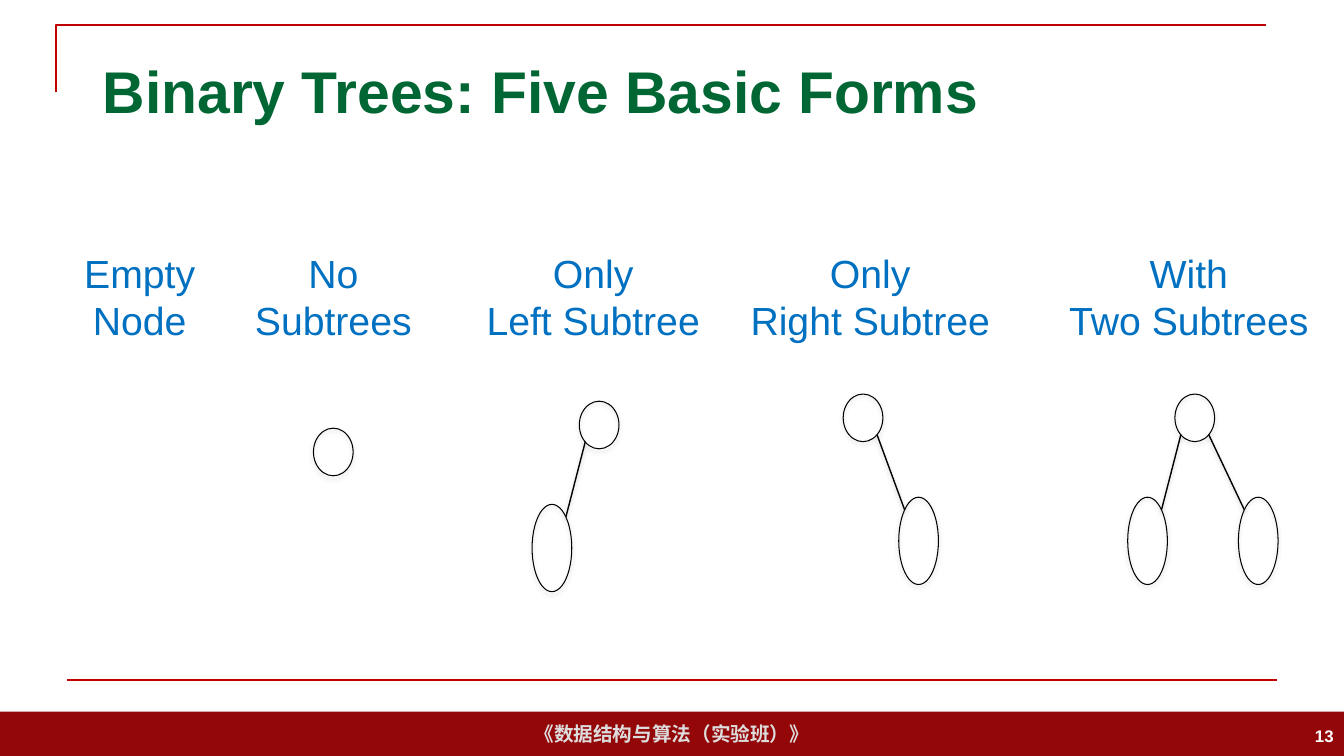
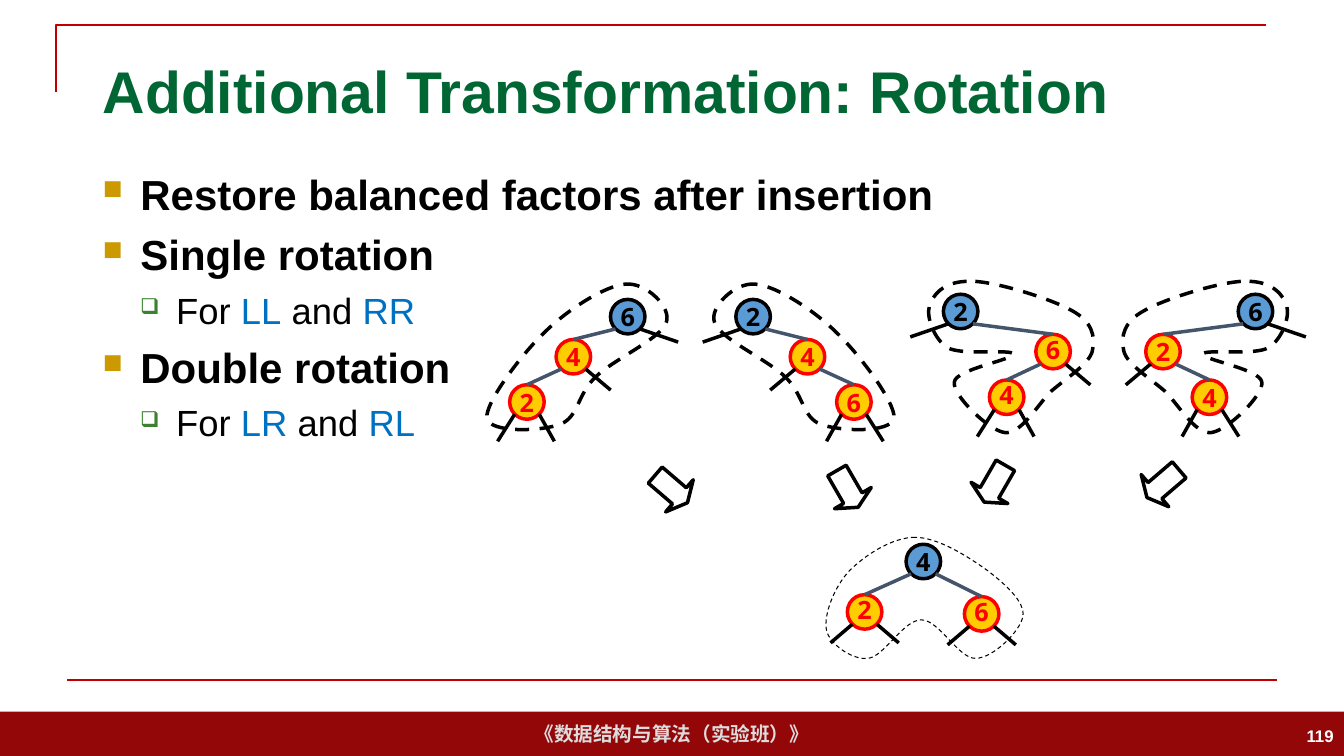
from dataclasses import dataclass
from math import copysign

from lxml import etree
from pptx import Presentation
from pptx.dml.color import RGBColor
from pptx.enum.dml import MSO_LINE
from pptx.enum.shapes import MSO_CONNECTOR, MSO_SHAPE
from pptx.enum.text import MSO_ANCHOR, PP_ALIGN
from pptx.oxml.ns import qn
from pptx.util import Cm, Pt

RECT, OVAL, ARROW = MSO_SHAPE.RECTANGLE, MSO_SHAPE.OVAL, MSO_SHAPE.DOWN_ARROW
STRAIGHT, DASH = MSO_CONNECTOR.STRAIGHT, MSO_LINE.DASH
LEFT, MID, RIGHT = PP_ALIGN.LEFT, PP_ALIGN.CENTER, PP_ALIGN.RIGHT
TOP, CENTER = MSO_ANCHOR.TOP, MSO_ANCHOR.MIDDLE
SANS, OPEN = "Arial", "Open Sans"
HEX = {
    "band": "940709", "rule": "C00000", "title": "006633", "foot": "DDDDDD",
    "white": "FFFFFF", "black": "000000", "blue": "0070C0", "root": "5B9BD5",
    "leaf": "FFCC00", "red": "FF0000", "slate": "44546A", "shade": "808080",
    "gold": "CC9900", "green": "3B812F",
}
WIDE, HIGH = 33.87, 19.05
BALL, REACH = 0.87, 0.31


@dataclass(frozen=True)
class Form:
    label: str
    mid: float
    root: tuple = ()
    kids: tuple = ()


@dataclass(frozen=True)
class Level:
    size: int
    bold: bool
    left: float
    hang: float
    mark: str
    tint: str
    scale: int


@dataclass(frozen=True)
class Node:
    x: float
    y: float
    kids: tuple = ()
    stubs: tuple = ()


@dataclass(frozen=True)
class Tree:
    nodes: tuple
    hull: tuple


FORMS = (
    Form("Empty\nNode", 3.52),
    Form("No\nSubtrees", 8.4, (8.4, 11.39)),
    Form("Only\nLeft Subtree", 14.95, (15.1, 10.71), (-1.19,)),
    Form("Only\nRight Subtree", 21.93, (21.75, 10.53), (1.4,)),
    Form("With\nTwo Subtrees", 29.96, (30.11, 10.53), (-1.19, 1.6)),
)
LEVELS = (
    Level(30, True, 0.95, 0.95, "■", "gold", 65),
    Level(26, False, 1.85, 0.91, "❑", "green", 60),
)
POINTS = (
    (0, (("Restore balanced factors after insertion", "black"),)),
    (0, (("Single rotation", "black"),)),
    (1, (("For ", "black"), ("LL", "blue"), (" and ", "black"), ("RR", "blue"))),
    (0, (("Double rotation", "black"),)),
    (1, (("For ", "black"), ("LR", "blue"), (" and ", "black"), ("RL", "blue"))),
)
FEET = ((-0.43, 0.68), (0.38, 0.68))
LEGS = ((-0.55, 0.47), (0.55, 0.47))
LINE = Tree(
    (Node(15.82, 7.98, (1,), ((0.96, 0.33),)),
     Node(14.45, 8.99, (2,), ((0.63, 0.53),)),
     Node(13.28, 10.13, (), FEET)),
    ((15.77, 7.16),
     (16.28, 7.11), (16.94, 7.75), (16.79, 8.13),
     (16.66, 8.53), (15.44, 9.07), (15.01, 9.5),
     (14.55, 9.93), (14.58, 10.52), (14.12, 10.69),
     (13.67, 10.87), (12.34, 10.92), (12.27, 10.54),
     (12.22, 10.16), (13.13, 8.94), (13.72, 8.38),
     (14.3, 7.8), (15.27, 7.19), (15.77, 7.16)))
BEND = Tree(
    (Node(24.21, 7.85, (1,), ((-0.96, 0.33),)),
     Node(26.54, 8.86, (2,), ((0.63, 0.53),)),
     Node(25.37, 10.01, (), FEET)),
    ((24.36, 7.09),
     (23.77, 7.11), (23.5, 7.44), (23.42, 7.72),
     (23.34, 8), (23.55, 8.56), (23.88, 8.76),
     (24.23, 8.97), (25.5, 8.79), (25.53, 8.92),
     (25.55, 9.07), (24.08, 9.3), (24.05, 9.63),
     (24, 9.96), (24.92, 10.85), (25.32, 10.9),
     (25.73, 10.95), (26.14, 10.21), (26.49, 9.86),
     (26.87, 9.53), (27.46, 9.17), (27.53, 8.84),
     (27.61, 8.48), (27.53, 8.1), (27, 7.82),
     (26.47, 7.52), (24.94, 7.04), (24.36, 7.09)))
EVEN = Tree(
    (Node(23.27, 14.15, (1, 2)),
     Node(21.79, 15.42, (), LEGS),
     Node(24.74, 15.47, (), LEGS)),
    ((23.06, 13.54),
     (22.48, 13.54), (21.79, 14), (21.41, 14.38),
     (21.03, 14.78), (20.75, 15.49), (20.83, 15.88),
     (20.9, 16.23), (21.49, 16.64), (21.87, 16.59),
     (22.28, 16.56), (22.76, 15.62), (23.22, 15.62),
     (23.67, 15.62), (24.16, 16.61), (24.59, 16.59),
     (25.02, 16.59), (25.73, 15.9), (25.78, 15.52),
     (25.83, 15.16), (25.32, 14.71), (24.89, 14.38),
     (24.43, 14.05), (23.65, 13.54), (23.06, 13.54)))
ARROWS = ((16.92, 12.32, 310.6), (21.36, 12.32, 330),
          (25.07, 12.19, 30), (29.31, 12.19, 49.4))


def hue(name: str) -> RGBColor:
    return RGBColor.from_string(HEX[name])


def write(para, text: str, size: int, tint: str, bold=False, face=SANS) -> None:
    run = para.add_run()
    run.text = text
    font = run.font
    font.size, font.bold, font.name = Pt(size), bold, face
    font.color.rgb = hue(tint)


def add_box(slide, x: float, y: float, w: float, h: float, anchor=TOP):
    frame = slide.shapes.add_textbox(Cm(x), Cm(y), Cm(w), Cm(h)).text_frame
    frame.word_wrap, frame.vertical_anchor = True, anchor
    return frame


def paint(shape, fill: str | None, line: str | None, width=2.5) -> None:
    shape.shadow.inherit = False
    if fill:
        shape.fill.solid()
        shape.fill.fore_color.rgb = hue(fill)
    else:
        shape.fill.background()
    if line:
        shape.line.color.rgb, shape.line.width = hue(line), Pt(width)
    else:
        shape.line.fill.background()


def add_shape(slide, kind, x: float, y: float, w: float, h: float, fill, line, width=2.5):
    shape = slide.shapes.add_shape(kind, Cm(x - w / 2), Cm(y - h / 2), Cm(w), Cm(h))
    paint(shape, fill, line, width)
    return shape


def add_line(slide, start: tuple, end: tuple, tint: str, width: float):
    line = slide.shapes.add_connector(STRAIGHT, *map(Cm, start + end))
    line.line.color.rgb, line.line.width = hue(tint), Pt(width)
    etree.SubElement(line._element.spPr, qn("a:effectLst"))
    return line


def shade(shape, share: int, drop: float) -> None:
    effect = shape._element.spPr.find(qn("a:effectLst"))
    cast = etree.SubElement(effect, qn("a:outerShdw"), blurRad=str(Pt(3.1)),
                            dist=str(Pt(drop)), dir="5400000", rotWithShape="0")
    tone = etree.SubElement(cast, qn("a:srgbClr"), val=HEX["shade"])
    etree.SubElement(tone, qn("a:alpha"), val=str(share * 1000))


def add_path(slide, spots, close: bool):
    dots = [(Cm(x), Cm(y)) for x, y in spots]
    pen = slide.shapes.build_freeform(*dots[0], scale=1.0)
    pen.add_line_segments(dots[1:], close=close)
    return pen.convert_to_shape()


def add_curve(slide, spots, width: float) -> None:
    shape = add_path(slide, spots, True)
    paint(shape, None, "black", width)
    shape.line.dash_style = DASH
    steps = list(shape._element.iter(qn("a:lnTo")))
    for i in range(0, len(steps) // 3 * 3, 3):
        curve = etree.Element(qn("a:cubicBezTo"))
        steps[i].addprevious(curve)
        for step in steps[i:i + 3]:
            curve.append(step[0])
            step.getparent().remove(step)


def add_page(deck, title: str, page: int):
    slide = deck.slides.add_slide(deck.slide_layouts[6])
    band = add_shape(slide, RECT, WIDE / 2, 18.49, WIDE, 1.12, "band", None)
    frame = band.text_frame
    frame.word_wrap, frame.vertical_anchor = False, CENTER
    frame.paragraphs[0].alignment = MID
    write(frame.paragraphs[0], "《数据结构与算法（实验班）》", 14, "foot", True)
    edge = add_path(slide, ((1.42, 2.33), (1.42, 0.63), (31.9, 0.63)), False)
    paint(edge, None, "rule", 1.5)
    add_line(slide, (1.69, 17.14), (32.17, 17.14), "rule", 1.5)
    head = add_box(slide, 2.34, 1.02, 29.21, 2.51, CENTER)
    write(head.paragraphs[0], title, 42, "title", True)
    foot = add_box(slide, 26.24, 18.03, 7.62, 1.02, CENTER)
    foot.paragraphs[0].alignment = RIGHT
    write(foot.paragraphs[0], str(page), 12, "white", True)
    return slide


def draw_form(slide, form: Form) -> None:
    frame = add_box(slide, form.mid - 3.95, 6.15, 7.9, 2.64)
    for i, text in enumerate(form.label.split("\n")):
        para = frame.add_paragraph() if i else frame.paragraphs[0]
        para.alignment = MID
        write(para, text, 28, "blue")
    if not form.root:
        return
    x, y = form.root
    shade(add_shape(slide, OVAL, x, y, 1, 1.2, None, "black", 0.75), 35, 1.8)
    for step in form.kids:
        side = copysign(0.35, step)
        kid = add_shape(slide, OVAL, x + step, y + 3.1, 1, 2.2, None, "black", 0.75)
        shade(kid, 35, 1.8)
        link = add_line(slide, (x + side, y + 0.42), (x + step - side, y + 2.32), "black", 1)
        shade(link, 38, 1.6)


def add_points(slide) -> None:
    frame = add_box(slide, 2.34, 4.11, 29.21, 13.08)
    for i, (depth, runs) in enumerate(POINTS):
        para = frame.add_paragraph() if i else frame.paragraphs[0]
        level = LEVELS[depth]
        prop = para._p.get_or_add_pPr()
        prop.set("marL", str(Cm(level.left)))
        prop.set("indent", str(-Cm(level.hang)))
        tone = etree.SubElement(prop, qn("a:buClr"))
        etree.SubElement(tone, qn("a:srgbClr"), val=HEX[level.tint])
        etree.SubElement(prop, qn("a:buSzPct"), val=str(level.scale * 1000))
        etree.SubElement(prop, qn("a:buChar"), char=level.mark)
        para.level, para.alignment = depth, LEFT
        if i:
            para.space_before = Pt(level.size * 0.24)
        for text, tint in runs:
            write(para, text, level.size, tint, level.bold)


def flip(tree: Tree, span: float) -> Tree:
    nodes = tuple(Node(span - n.x, n.y, n.kids, tuple((-dx, dy) for dx, dy in n.stubs))
                  for n in tree.nodes)
    return Tree(nodes, tuple((span - x, y) for x, y in tree.hull))


def draw_tree(slide, tree: Tree, keys: str, lift=0.0, width=2.5) -> None:
    balls = []
    for i, (node, key) in enumerate(zip(tree.nodes, keys)):
        fill, ink = ("leaf", "red") if i else ("root", "black")
        ball = add_shape(slide, OVAL, node.x, node.y, BALL, BALL, fill, ink)
        frame = ball.text_frame
        frame.margin_left = frame.margin_right = frame.margin_top = 0
        frame.margin_bottom = Cm(lift if i else 0)
        frame.word_wrap, frame.vertical_anchor = False, CENTER
        frame.paragraphs[0].alignment = MID
        write(frame.paragraphs[0], key, 18, ink, True, OPEN)
        balls.append(ball)
    for node in tree.nodes:
        y = node.y + REACH
        for i in node.kids:
            kid = tree.nodes[i]
            x = node.x + copysign(REACH, kid.x - node.x)
            link = add_line(slide, (x, y), (kid.x, kid.y - BALL / 2), "slate", 2.5)
            link.end_connect(balls[i], 0)
        for dx, dy in node.stubs:
            x = node.x + copysign(REACH, dx)
            add_line(slide, (x, y), (x + dx, y + dy), "black", 2.5)
    add_curve(slide, tree.hull, width)


def main() -> None:
    deck = Presentation()
    deck.slide_width, deck.slide_height = Cm(WIDE), Cm(HIGH)
    slide = add_page(deck, "Binary Trees: Five Basic Forms", 13)
    for form in FORMS:
        draw_form(slide, form)
    slide = add_page(deck, "Additional Transformation: Rotation", 119)
    add_points(slide)
    draw_tree(slide, LINE, "642")
    draw_tree(slide, flip(LINE, 34.8), "246")
    draw_tree(slide, BEND, "264", 0.13)
    draw_tree(slide, flip(BEND, 55.85), "624")
    draw_tree(slide, EVEN, "426", 0.13, 0.75)
    for x, y, turn in ARROWS:
        arrow = add_shape(slide, ARROW, x, y, 1.07, 1.07, None, "black")
        arrow.adjustments[0], arrow.adjustments[1] = 0.5, 0.25
        arrow.rotation = turn
    deck.save("out.pptx")


if __name__ == "__main__":
    main()
